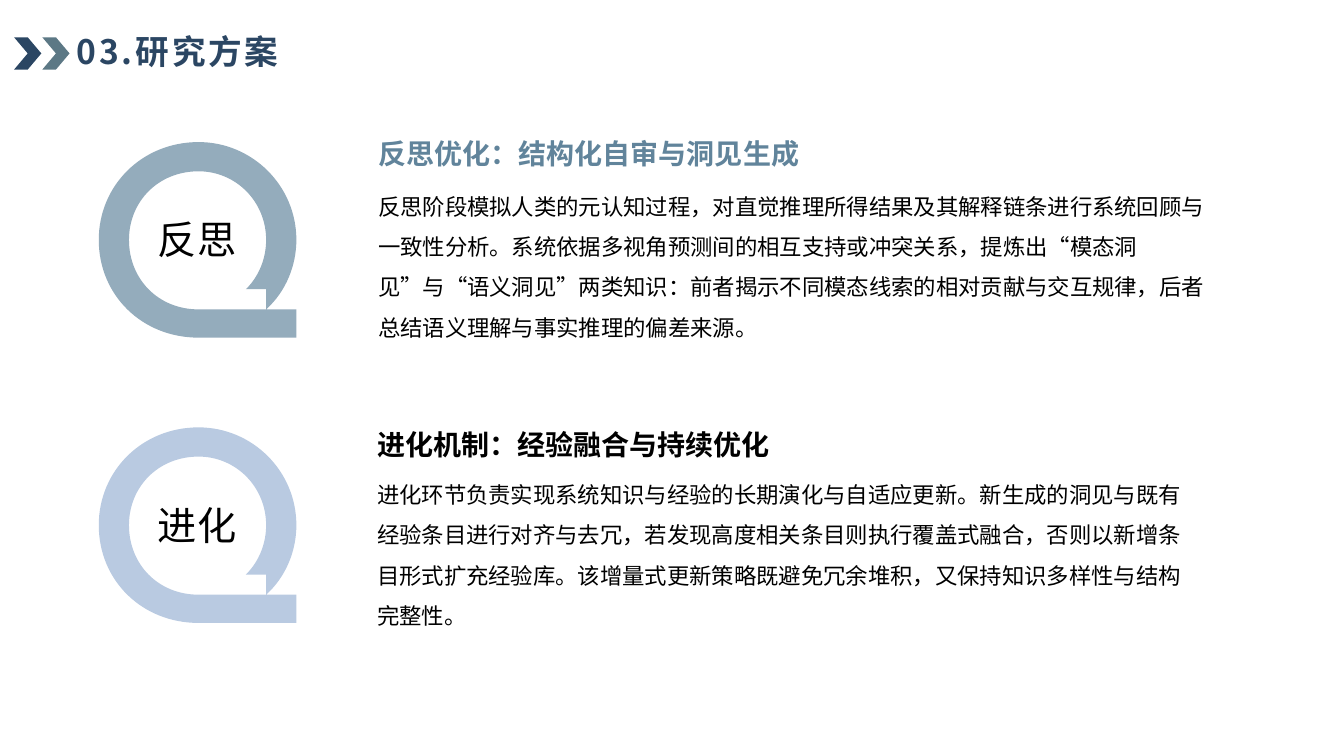
from lxml.etree import SubElement
from pptx import Presentation
from pptx.dml.color import RGBColor
from pptx.enum.shapes import MSO_SHAPE
from pptx.enum.text import MSO_ANCHOR, MSO_AUTO_SIZE, PP_ALIGN
from pptx.oxml.ns import qn
from pptx.util import Inches, Pt

FONT = "Noto Sans CJK SC"
NAVY, TEAL, BLACK = "2B4663", "5C7885", "000000"
UNITS = 100  # freeform units per inch

# Ring outlines in units from the ring's corner: two numbers draw a line, six a Bézier curve.
RING_HOLE = [
    (30, 97),
    (30, 59, 59, 29, 99, 29),
    (136, 29, 166, 59, 166, 97),
    (166, 114, 160, 132, 146, 146),
    (166, 146), (166, 166), (99, 166),
    (59, 166, 30, 136, 30, 97),
]
RING_EDGE = [
    (166, 166),
    (186, 148, 196, 122, 196, 97),
    (196, 43, 152, 0, 99, 0),
    (43, 0, 0, 43, 0, 97),
    (0, 152, 43, 194, 99, 194),
    (196, 194), (196, 166),
]

SECTIONS = [
    {
        "top": 1.41, "label": "反思", "ring_color": "94ACBC",
        "heading": "反思优化：结构化自审与洞见生成", "heading_color": "61849B",
        "heading_box": (3.39, 1.35, 4.9, 0.34), "heading_wrap": True,
        "heading_align": PP_ALIGN.CENTER,
        "body": "反思阶段模拟人类的元认知过程，对直觉推理所得结果及其解释链条进行系统回顾与"
                "一致性分析。系统依据多视角预测间的相互支持或冲突关系，提炼出“模态洞见”与"
                "“语义洞见”两类知识：前者揭示不同模态线索的相对贡献与交互规律，后者总结语义"
                "理解与事实推理的偏差来源。",
        "body_box": (3.75, 1.78, 8.36, 1.57),
    },
    {
        "top": 4.24, "label": "进化", "ring_color": "B9CAE1",
        "heading": "进化机制：经验融合与持续优化", "heading_color": BLACK,
        "heading_box": (3.74, 4.24, 3.93, 0.34), "heading_wrap": False,
        "heading_align": PP_ALIGN.LEFT,
        "body": "进化环节负责实现系统知识与经验的长期演化与自适应更新。新生成的洞见与既有经验"
                "条目进行对齐与去冗，若发现高度相关条目则执行覆盖式融合，否则以新增条目形式扩充"
                "经验库。该增量式更新策略既避免冗余堆积，又保持知识多样性与结构完整性。",
        "body_box": (3.74, 4.64, 8.06, 1.57),
    },
]


def rgb(color):
    return RGBColor.from_string(color)


def set_values(target, values):
    for name, value in values.items():
        setattr(target, name, value)


def paint(shape, color):
    shape.shadow.inherit = False
    shape.fill.solid()
    shape.fill.fore_color.rgb = rgb(color)
    shape.line.fill.background()


def write(shape, text, size, color, bold=False, align=PP_ALIGN.LEFT, line_spacing=1.0,
          margins=(0, 0), letter_spacing=0, **frame_values):
    across, down = (Inches(margin) for margin in margins)
    frame = shape.text_frame
    set_values(frame, {
        "margin_left": across, "margin_right": across, "margin_top": down,
        "margin_bottom": down, "word_wrap": True, **frame_values,
    })
    paragraph = frame.paragraphs[0]
    set_values(paragraph, {"alignment": align, "line_spacing": line_spacing})
    run = paragraph.add_run()
    run.text = text
    set_values(run.font, {"size": Pt(size), "bold": bold, "name": FONT})
    run.font.color.rgb = rgb(color)
    properties = run.font._element
    SubElement(properties, qn("a:ea"), typeface=FONT)
    if letter_spacing:
        properties.set("spc", str(letter_spacing * 100))


def add_text(slide, box, text, size, color, **values):
    shape = slide.shapes.add_textbox(*map(Inches, box))
    write(shape, text, size, color, auto_size=MSO_AUTO_SIZE.SHAPE_TO_FIT_TEXT, **values)


def bend_lines(shape, steps):
    """Turn the lines of a freeform into curves where a step has control points."""
    lines = list(shape._element.iter(qn("a:lnTo")))
    for line, step in zip(lines, steps):
        if len(step) == 6:
            curve = SubElement(line.getparent(), qn("a:cubicBezTo"))
            for x, y in zip(step[::2], step[1::2]):
                SubElement(curve, qn("a:pt"), x=str(x), y=str(y))
            line.getparent().replace(line, curve)


def add_ring(slide, left, top, color, label):
    hole, edge = ([step[-2:] for step in outline] for outline in (RING_HOLE, RING_EDGE))
    builder = slide.shapes.build_freeform(*hole[0], scale=Inches(1) / UNITS)
    builder.add_line_segments(hole[1:], close=True)
    builder.move_to(*edge[0])
    builder.add_line_segments(edge[1:], close=True)
    ring = builder.convert_to_shape(Inches(left), Inches(top))
    bend_lines(ring, RING_HOLE[1:] + RING_EDGE[1:])
    paint(ring, color)
    add_text(slide, (left + 0.36, top + 0.66, 1.23, 0.61), label, 28, BLACK,
             align=PP_ALIGN.CENTER, margins=(0.13, 0.07))


def add_section(slide, section):
    add_ring(slide, 0.98, section["top"], section["ring_color"], section["label"])
    add_text(slide, section["heading_box"], section["heading"], 20, section["heading_color"],
             bold=True, align=section["heading_align"], word_wrap=section["heading_wrap"])
    add_text(slide, section["body_box"], section["body"], 16, BLACK, line_spacing=1.5)


def add_header(slide, left, top):
    chevrons = slide.shapes.add_group_shape()
    for offset, color in ((0.28, TEAL), (0, NAVY)):
        box = (left + offset, top + 0.08, 0.27, 0.32)
        paint(chevrons.shapes.add_shape(MSO_SHAPE.CHEVRON, *map(Inches, box)), color)
    title = slide.shapes.title
    set_values(title, {"left": Inches(left + 0.62), "top": Inches(top),
                       "width": Inches(8.8), "height": Inches(0.48)})
    write(title, "03.研究方案", 24, NAVY, bold=True, line_spacing=0.9, letter_spacing=2,
          vertical_anchor=MSO_ANCHOR.MIDDLE, auto_size=MSO_AUTO_SIZE.NONE)


def main():
    presentation = Presentation()
    set_values(presentation, {"slide_width": Inches(13.33), "slide_height": Inches(7.5)})
    slide = presentation.slides.add_slide(presentation.slide_layouts[5])
    add_header(slide, 0.14, 0.29)
    for section in SECTIONS:
        add_section(slide, section)
    presentation.save("out.pptx")


if __name__ == "__main__":
    main()
